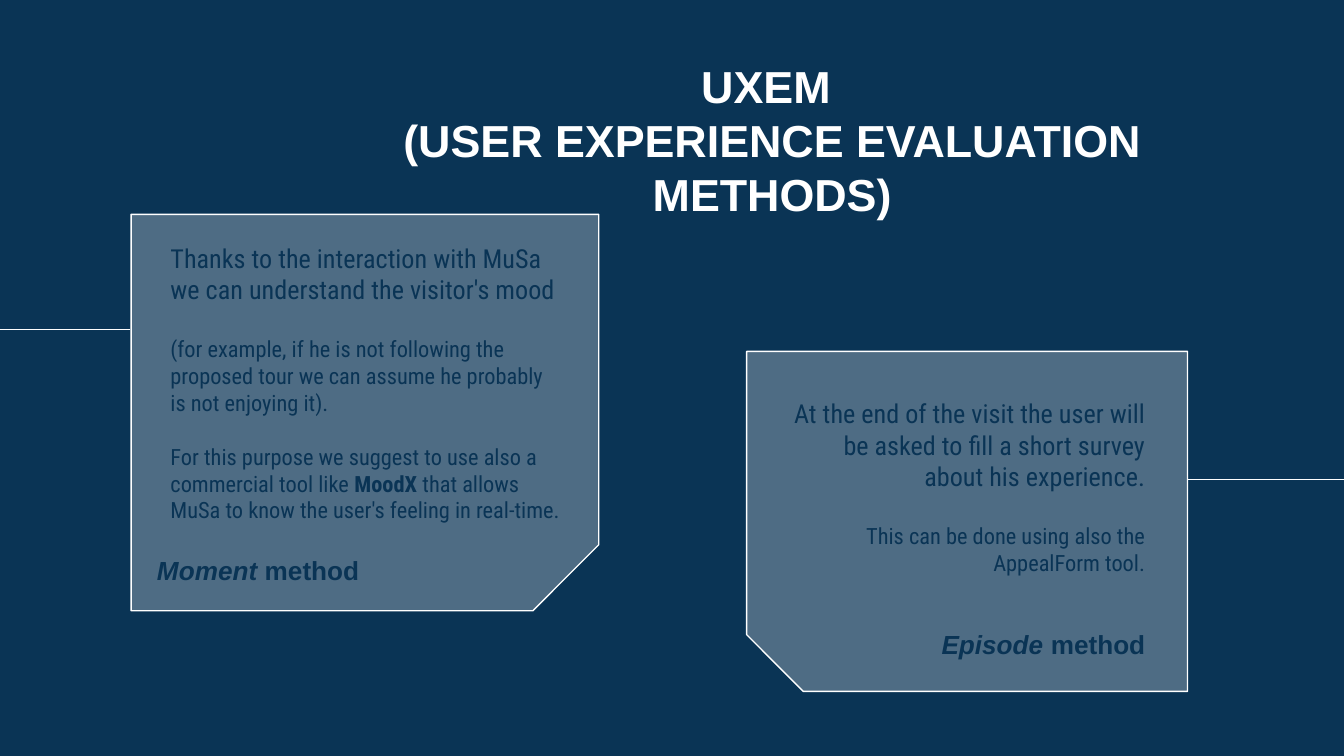
from lxml import etree
from pptx import Presentation
from pptx.dml.color import RGBColor
from pptx.enum.shapes import MSO_CONNECTOR, MSO_SHAPE
from pptx.enum.text import MSO_ANCHOR, PP_ALIGN
from pptx.oxml.ns import qn
from pptx.util import Inches, Pt

NAVY = RGBColor(0x0A, 0x34, 0x55)
WHITE = RGBColor(0xFF, 0xFF, 0xFF)
HEAD = "Arial"
BODY = "Roboto Condensed"


def add_line(slide, start, end, y):
    line = slide.shapes.add_connector(
        MSO_CONNECTOR.STRAIGHT, Inches(start), Inches(y), Inches(end), Inches(y))
    line.line.color.rgb = WHITE
    line.line.width = Pt(0.75)
    etree.SubElement(line._element.spPr, qn("a:effectLst"))


def add_card(slide, box, turn, flip=False):
    """Add a see-through panel with one cut corner; box is its place before the turn."""
    card = slide.shapes.add_shape(MSO_SHAPE.SNIP_1_RECTANGLE, *map(Inches, box))
    card.shadow.inherit = False
    card.rotation = turn
    card.fill.solid()
    card.fill.fore_color.rgb = WHITE
    color = card._element.spPr.find(qn("a:solidFill"))[0]
    etree.SubElement(color, qn("a:alpha"), val="28000")
    card.line.color.rgb = WHITE
    card.line.width = Pt(0.75)
    if flip:
        card._element.spPr.xfrm.set("flipH", "1")


def add_text(slide, box, paras, font, color=NAVY, align=PP_ALIGN.LEFT,
             anchor=MSO_ANCHOR.TOP):
    """Each para is (size, gap before, runs); each run is (text, bold, italic)."""
    frame = slide.shapes.add_textbox(*map(Inches, box)).text_frame
    frame.word_wrap = True
    frame.vertical_anchor = anchor
    frame.margin_left = frame.margin_right = Inches(0.1)
    frame.margin_top = frame.margin_bottom = Inches(0.1)
    for i, (size, gap, runs) in enumerate(paras):
        para = frame.add_paragraph() if i else frame.paragraphs[0]
        para.alignment = align
        para.space_before = Pt(gap)
        for j, (text, bold, italic) in enumerate(runs):
            if j == 0:
                para.text = text
            else:
                para.add_run().text = text
            first = 0 if j == 0 else -1
            for run in para.runs[first:]:
                run.font.name = font
                run.font.size = Pt(size)
                run.font.color.rgb = color
                run.font.bold = bold
                run.font.italic = italic


def add_label(slide, box, name, align):
    runs = [(name + " ", True, True), ("method", True, False)]
    add_text(slide, box, [(14, 0, runs)], HEAD, align=align, anchor=MSO_ANCHOR.BOTTOM)


def plain(text):
    return [(text, False, False)]


def main():
    deck = Presentation()
    deck.slide_width, deck.slide_height = Inches(10), Inches(10 * 9 / 16)
    slide = deck.slides.add_slide(deck.slide_layouts[6])
    slide.background.fill.solid()
    slide.background.fill.fore_color.rgb = NAVY

    add_line(slide, 10.14, 8.83, 3.57)
    add_line(slide, 0.97, -0.05, 2.45)
    add_card(slide, (5.93, 2.24, 2.53, 3.28), 270, flip=True)
    title = "UXEM \v(USER EXPERIENCE EVALUATION METHODS)"
    add_text(slide, (2.02, 0.34, 7.45, 1.03), [(24, 0, [(title, True, False)])],
             HEAD, WHITE, PP_ALIGN.CENTER)

    add_card(slide, (1.24, 1.33, 2.95, 3.48), 90)
    add_label(slide, (1.07, 4.02, 2.07, 0.44), "Moment", PP_ALIGN.LEFT)
    moment = [
        (14, 0, plain("Thanks to the interaction with MuSa we can understand "
                      "the visitor's mood")),
        (12, 16.4, plain("(for example, if he is not following the proposed tour "
                         "we can assume he probably is not enjoying it).")),
        (12, 14.4, [("For this purpose we suggest to use also a commercial tool like ",
                     False, False),
                    ("MoodX", True, False),
                    (" that allows MuSa to know the user's feeling in real-time.",
                     False, False)]),
    ]
    add_text(slide, (1.17, 1.7, 3.1, 1.85), moment, BODY)

    add_label(slide, (6.67, 4.54, 1.95, 0.47), "Episode", PP_ALIGN.RIGHT)
    episode = [
        (14, 0, plain("At the end of the visit the user will be asked to fill "
                      "a short survey about his experience.")),
        (12, 16.4, plain("This can be done using also the AppealForm tool.")),
    ]
    add_text(slide, (5.75, 2.86, 2.87, 1.37), episode, BODY, align=PP_ALIGN.RIGHT)

    deck.save("out.pptx")


if __name__ == "__main__":
    main()
